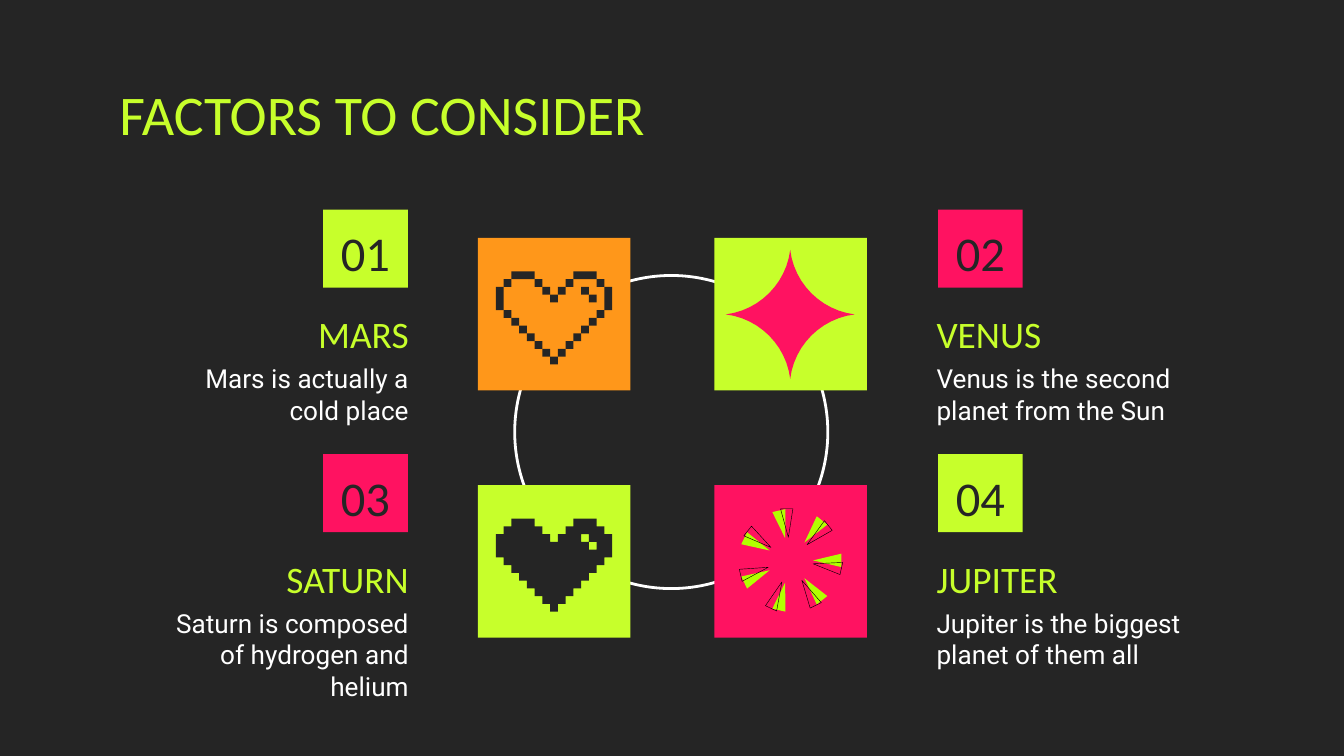
from math import cos, sin, tau

from pptx import Presentation
from pptx.dml.color import RGBColor
from pptx.enum.shapes import MSO_SHAPE as Kind
from pptx.enum.text import MSO_ANCHOR as Anchor, PP_ALIGN as Align
from pptx.util import Pt

PX = 4572  # 200 px to the inch
DARK = RGBColor(0x25, 0x25, 0x25)
LIME = RGBColor(0xC7, 0xFF, 0x2B)
PINK = RGBColor(0xFF, 0x12, 0x61)
ORANGE = RGBColor(0xFF, 0x97, 0x1A)
ACID = RGBColor(0xB2, 0xFF, 0x00)
WHITE = RGBColor(0xFF, 0xFF, 0xFF)
BLACK = RGBColor(0, 0, 0)

deck = Presentation()
deck.slide_width, deck.slide_height = 2000 * PX, 1125 * PX
slide = deck.slides.add_slide(deck.slide_layouts[6])
slide.background.fill.solid()
slide.background.fill.fore_color.rgb = DARK
shapes = slide.shapes


def draw(form, fill=None, line=None, width=1.5):
    """Add a preset (kind, x, y, w, h) or a polygon (list of contours) and style it."""
    if isinstance(form, tuple):
        kind, *box = form
        shape = shapes.add_shape(kind, *[round(v * PX) for v in box])
    else:
        loops = [[(round(x * PX), round(y * PX)) for x, y in loop] for loop in form]
        pen = shapes.build_freeform(*loops[0][0])
        pen.add_line_segments(loops[0][1:])
        for loop in loops[1:]:
            pen.move_to(*loop[0])
            pen.add_line_segments(loop[1:])
        shape = pen.convert_to_shape()
    shape.shadow.inherit = False
    if fill is None:
        shape.fill.background()
    else:
        shape.fill.solid()
        shape.fill.fore_color.rgb = fill
    if line is None:
        shape.line.fill.background()
    else:
        shape.line.color.rgb = line
        shape.line.width = Pt(width)
    return shape


def write(shape, text, size, color, align, font="Calibri"):
    frame = shape.text_frame
    frame.word_wrap = True
    frame.vertical_anchor = Anchor.TOP
    frame.margin_left = frame.margin_right = 20 * PX
    frame.margin_top = frame.margin_bottom = 20 * PX
    para = frame.paragraphs[0]
    para.alignment = align
    run = para.add_run()
    run.text = text
    run.font.size, run.font.name = Pt(size), font
    run.font.color.rgb = color


# Ring and title
draw((Kind.OVAL, 766, 410, 466, 466), line=WHITE)
title = shapes.add_textbox(158 * PX, 98 * PX, 1686 * PX, 126 * PX)
write(title, "FACTORS TO CONSIDER", 30, LIME, Align.LEFT)

# Numbered factors
STEP = 364
factors = [
    ("01", "MARS", "Mars is actually a cold place", LIME),
    ("02", "VENUS", "Venus is the second planet from the Sun", PINK),
    ("03", "SATURN", "Saturn is composed of hydrogen and helium", PINK),
    ("04", "JUPITER", "Jupiter is the biggest planet of them all", LIME),
]
for i, (num, name, note, color) in enumerate(factors):
    row, col = divmod(i, 2)
    left, tag, align = [(220, 481, Align.RIGHT), (1374, 1396, Align.LEFT)][col]
    down = row * STEP
    head = shapes.add_textbox(left * PX, (443 + down) * PX, 408 * PX, 116 * PX)
    write(head, name, 20, LIME, align)
    body = shapes.add_textbox(left * PX, (520 + down) * PX, 408 * PX, 106 * PX)
    write(body, note, 14, WHITE, align, "Roboto")
    badge = draw((Kind.RECTANGLE, tag, 312 + down, 126, 116), color)
    write(badge, num, 26, DARK, Align.CENTER)

# Icon tiles
SIDE = 227
for x, y, color in [(711, 354, ORANGE), (1063, 354, LIME),
                    (711, 722, LIME), (1063, 722, PINK)]:
    draw((Kind.RECTANGLE, x, y, SIDE, SIDE), color)

# Pixel hearts on a grid 15 cells wide
CELL = 173 / 15
HEART = 738

# Outlined heart: column, row, width and height in cells
cells = [(2, 0, 3, 1), (0, 2, 1, 3), (1, 1, 1, 1), (5, 1, 1, 1), (6, 2, 1, 1)]
cells += [(k, k + 4, 1, 1) for k in range(1, 7)]
cells += [(15 - c - w, r, w, h) for c, r, w, h in cells]
cells += [(7, 3, 1, 1), (7, 11, 1, 1), (11, 2, 1, 1), (12, 3, 1, 1)]
for c, r, w, h in cells:
    draw((Kind.RECTANGLE, HEART + c * CELL, 404 + r * CELL, w * CELL, h * CELL), DARK)

# Solid heart: left half, its mirror, and the glint cut out
half = [(7, 3), (7, 2), (6, 2), (6, 1), (5, 1), (5, 0),
        (2, 0), (2, 1), (1, 1), (1, 2), (0, 2)]
half += [(k, k + d) for k in range(8) for d in (4, 5)]
edge = half + [(15 - c, r) for c, r in reversed(half)]
glint = [(12, 2), (12, 3), (13, 3), (13, 4), (12, 4), (12, 3), (11, 3), (11, 2)]
draw([[(HEART + c * CELL, 772 + r * CELL) for c, r in loop + loop[:1]]
      for loop in (edge, glint)], DARK)

# Four-point star: one curved side, turned by quarters
curve = [(0, -96), (-6, -46), (-46, -6), (-96, 0)]
star = []
for quarter in range(4):
    for n in range(12):
        t = n / 12
        parts = [(1 - t) ** 3, 3 * t * (1 - t) ** 2, 3 * t * t * (1 - t), t ** 3]
        x, y = [sum(p * v for p, v in zip(parts, axis)) for axis in zip(*curve)]
        for _ in range(quarter):
            x, y = y, -x
        star.append((1176 + x, 468 + y))
draw([star + star[:1]], PINK)

# Burst of seven rays, then their offset outlines
ray = [(34, 0), (76, -10), (76, 10)]
trace = [(34, 5), (74, 21), (78, 3)]
for tri, fill, line in [(ray, ACID, None), (trace, None, BLACK)]:
    for n in range(7):
        a = n * tau / 7
        loop = [(1176 + x * cos(a) - y * sin(a), 834 + x * sin(a) + y * cos(a))
                for x, y in tri]
        draw([loop + loop[:1]], fill, line, 0.23)

deck.save("out.pptx")
